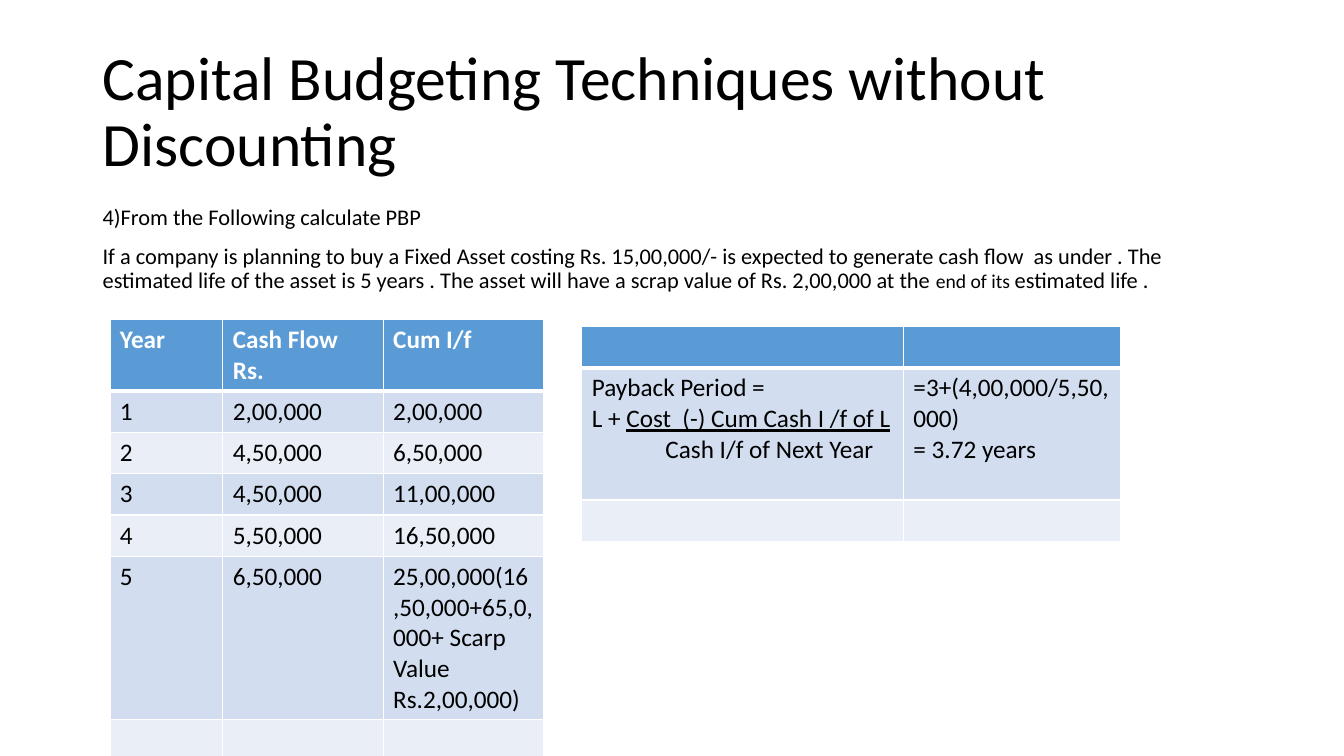
import pptx
import pptx.util
import pptx.dml.color
import pptx.enum.text
import pptx.oxml

Inches = pptx.util.Inches
Pt = pptx.util.Pt
ANCHOR = pptx.enum.text.MSO_ANCHOR


def rgb(value):
    return pptx.dml.color.RGBColor.from_string(value)


class Deck:
    font = "Calibri"
    ink = "000000"
    white = "FFFFFF"
    header = "5B9BD5"
    bands = ("D2DEEF", "EAEFF7")

    def __init__(self, prs):
        self.s = prs.slides.add_slide(prs.slide_layouts[6])

    def run(self, p, text, color=None, **formats):
        r = p.add_run()
        r.text = text
        r.font.color.rgb = rgb(color or self.ink)
        for name, value in {"name": self.font, **formats}.items():
            setattr(r.font, name, value)

    def text(self, box, paragraphs, anchor=ANCHOR.TOP):
        tf = self.s.shapes.add_textbox(*map(Inches, box)).text_frame
        tf.word_wrap = True
        tf.vertical_anchor = anchor
        for i, runs in enumerate(paragraphs):
            p = tf.add_paragraph() if i else tf.paragraphs[0]
            for name, value in {"line_spacing": 0.9, "space_before": Pt(10 if i else 0)}.items():
                setattr(p, name, value)
            for text, size in runs:
                self.run(p, text, size=Pt(size))

    def borders(self, cell, row):
        widths = {"L": 1, "R": 1, "T": 3 if row == 1 else 1, "B": 1 if row else 3}
        tcPr = cell._tc.get_or_add_tcPr()
        for i, (side, width) in enumerate(widths.items()):
            tcPr.insert(i, pptx.oxml.parse_xml(
                f'<a:ln{side} xmlns:a="http://schemas.openxmlformats.org/drawingml/2006/main" '
                f'w="{Pt(width)}"><a:solidFill><a:srgbClr val="{self.white}"/></a:solidFill></a:ln{side}>'))

    def cell(self, cell, row, paragraphs):
        cell.fill.solid()
        cell.fill.fore_color.rgb = rgb(self.bands[(row - 1) % 2] if row else self.header)
        self.borders(cell, row)
        for i, (runs, indent) in enumerate(paragraphs):
            p = cell.text_frame.add_paragraph() if i else cell.text_frame.paragraphs[0]
            if indent:
                p._p.get_or_add_pPr().set("marL", str(Inches(indent)))
            for text, underline in runs:
                self.run(p, text, self.ink if row else self.white,
                         size=Pt(18), bold=row == 0, underline=underline)

    def table(self, left, top, widths, heights, rows):
        frame = self.s.shapes.add_table(len(heights), len(widths), Inches(left), Inches(top),
                                        Inches(sum(widths)), Inches(sum(heights)))
        table = frame.table
        for column, width in zip(table.columns, widths):
            column.width = Inches(width)
        for i, (height, values) in enumerate(zip(heights, rows)):
            table.rows[i].height = Inches(height)
            for j, value in enumerate(values):
                paragraphs = [([(value, False)], 0)] if isinstance(value, str) and value else value
                self.cell(table.cell(i, j), i, paragraphs)


def main():
    prs = pptx.Presentation()
    prs.slide_width, prs.slide_height = Inches(13.33), Inches(7.5)
    deck = Deck(prs)
    deck.text((0.92, 0.4, 11.5, 1.45),
              [[("Capital Budgeting Techniques without Discounting", 44)]], ANCHOR.MIDDLE)
    deck.text((0.92, 2, 11.5, 4.76), [
        [("4)From the Following calculate PBP", 16)],
        [("If a company is planning to buy a Fixed Asset costing Rs. 15,00,000/- is expected to "
          "generate cash flow  as under . The estimated life of the asset is 5 years . The asset "
          "will have a scrap value of Rs. 2,00,000 at the ", 16),
         ("end of its ", 14), ("estimated life .", 16)],
    ])
    cash_flows = [
        ("Year", "Cash Flow Rs.", "Cum I/f"),
        ("1", "2,00,000", "2,00,000"),
        ("2", "4,50,000", "6,50,000"),
        ("3", "4,50,000", "11,00,000"),
        ("4", "5,50,000", "16,50,000"),
        ("5", "6,50,000", "25,00,000(16,50,000+65,0,000+ Scarp Value Rs.2,00,000)"),
        ("", "", ""),
    ]
    deck.table(1.09, 3.17, [1.12, 1.59, 1.59], [0.71] + [0.41] * 4 + [1.62, 0.36], cash_flows)
    formula = [
        ([("Payback Period =", False)], 0),
        ([("L + ", False), ("Cost  (-) Cum Cash I /f of L", True)], 0),
        ([("Cash I/f of Next Year", False)], 0.73),
    ]
    result = [([("=3+(4,00,000/5,50,000)", False)], 0), ([("= 3.72 years", False)], 0)]
    deck.table(5.77, 3.24, [3.19, 2.15], [0.41, 1.31, 0.41],
               [("", ""), (formula, result), ("", "")])
    prs.save("out.pptx")


if __name__ == "__main__":
    main()
